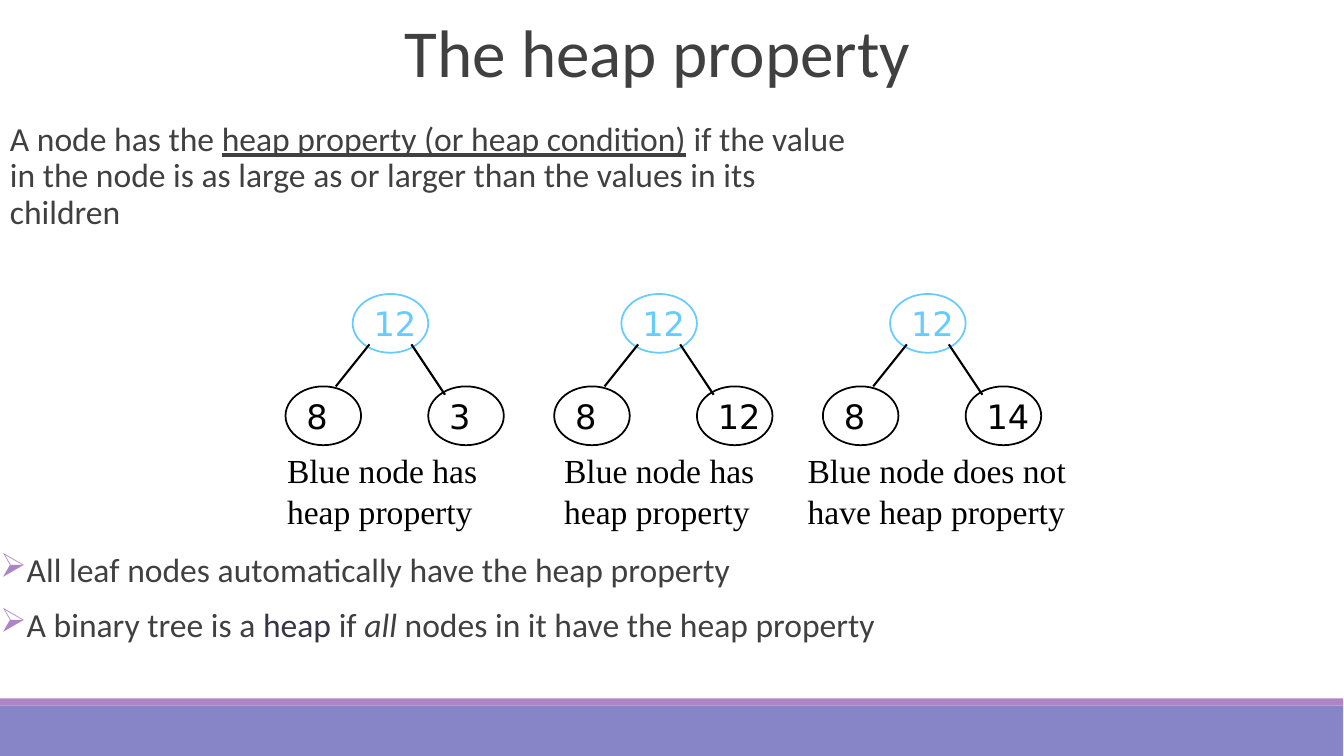
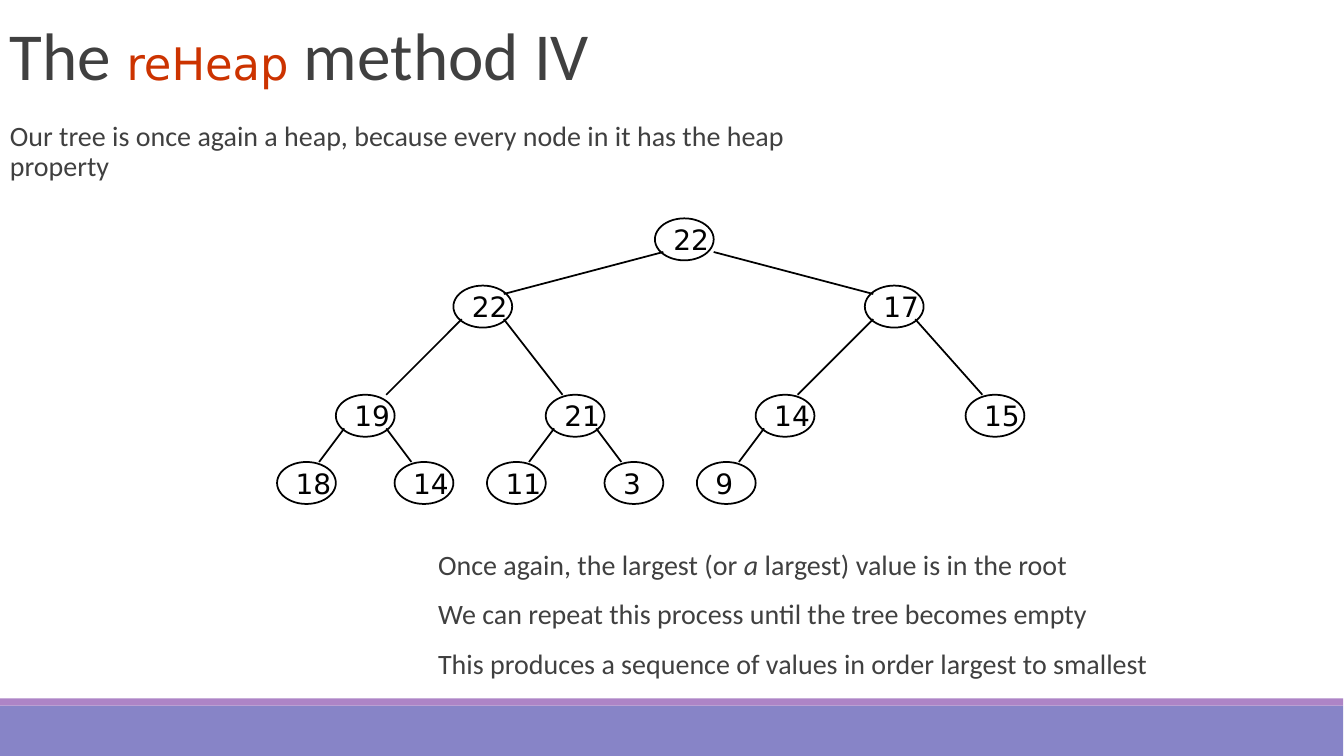
from dataclasses import dataclass

from lxml.etree import SubElement
from pptx import Presentation
from pptx.dml.color import RGBColor
from pptx.enum.shapes import MSO_CONNECTOR as Connector, MSO_SHAPE as Shape
from pptx.enum.text import MSO_ANCHOR as Anchor, PP_ALIGN as Align
from pptx.oxml.ns import qn
from pptx.util import Cm, Pt


@dataclass(frozen=True)
class Theme:
    """Colours, fonts and type sizes of the deck."""
    text: str = "404040"
    strong: str = "373545"
    code: str = "CC3300"
    ink: str = "000000"
    highlight: str = "66CCFF"
    band: str = "8784C7"
    accent: str = "AD84C6"
    body_font: str = "Calibri"
    node_font: str = "DejaVu Sans"
    caption_font: str = "Times New Roman"
    title_size: int = 48
    code_size: int = 32
    large_size: int = 24
    small_size: int = 20


THEME = Theme()


def steps(count):
    """Turn grid steps, twelve to the inch, into a length."""
    return Cm(count * 2.54 / 12)


def style(font, size=None, name=None, color=None, italic=None, underline=None):
    """Apply the given font settings and leave the others inherited."""
    if size:
        font.size = Pt(size)
    if name:
        font.name = name
    if color:
        font.color.rgb = RGBColor.from_string(color)
    if italic:
        font.italic = True
    if underline:
        font.underline = True


class Deck:
    """Draw styled elements on the current slide."""

    def __init__(self, theme):
        self.theme = theme
        self.presentation = Presentation()
        self.presentation.slide_width = Cm(33.88)
        self.presentation.slide_height = Cm(19.05)
        self.slide = None

    def new_slide(self):
        """Start a blank slide with the footer bands."""
        self.slide = self.presentation.slides.add_slide(self.presentation.slide_layouts[6])
        self.band(17.78, 1.27, self.theme.band)
        self.band(17.6, 0.18, self.theme.accent)

    def band(self, top, height, color):
        """Draw a full-width footer band."""
        shape = self.slide.shapes.add_shape(Shape.RECTANGLE, 0, Cm(top), Cm(33.86), Cm(height))
        shape.shadow.inherit = False
        shape.fill.solid()
        shape.fill.fore_color.rgb = RGBColor.from_string(color)
        shape.line.fill.background()

    def text_frame(self, box, anchor=Anchor.TOP):
        """Add a wrapping text box and return its frame."""
        frame = self.slide.shapes.add_textbox(*map(steps, box)).text_frame
        frame.word_wrap = True
        frame.vertical_anchor = anchor
        return frame

    def fill_paragraph(self, paragraph, runs, **settings):
        """Style a paragraph and add its runs with their overrides."""
        style(paragraph.font, **settings)
        for text, overrides in runs:
            run = paragraph.add_run()
            run.text = text
            style(run.font, **overrides)

    def title(self, left, top, *runs):
        """Add the slide title."""
        paragraph = self.text_frame((left, top, 113, 9.5), Anchor.BOTTOM).paragraphs[0]
        paragraph.line_spacing = 0.85
        self.fill_paragraph(paragraph, runs, size=self.theme.title_size,
                            name=self.theme.body_font, color=self.theme.text)

    def body(self, box, size, *paragraphs, bullet=None):
        """Add body paragraphs, bulleted on request."""
        frame = self.text_frame(box)
        frame.margin_left = frame.margin_right = 0
        for index, runs in enumerate(paragraphs):
            paragraph = frame.add_paragraph() if index else frame.paragraphs[0]
            properties = paragraph._p.get_or_add_pPr()
            properties.set("marL", str(Cm(0.25)))
            if bullet:
                properties.set("indent", str(-Cm(0.25)))
                color = SubElement(properties, qn("a:buClr"))
                SubElement(color, qn("a:srgbClr"), val=self.theme.accent)
                SubElement(properties, qn("a:buChar"), char=bullet)
            paragraph.line_spacing = 0.9
            paragraph.space_before = Pt(12 if index else 0)
            paragraph.space_after = Pt(2)
            self.fill_paragraph(paragraph, runs, size=size,
                                name=self.theme.body_font, color=self.theme.text)

    def caption(self, left, width, text):
        """Add a caption below a small tree."""
        paragraph = self.text_frame((left, 53, width, 10.8)).paragraphs[0]
        self.fill_paragraph(paragraph, [(text, {})], size=self.theme.large_size,
                            name=self.theme.caption_font, color=self.theme.ink)

    def node(self, shapes, value, box, size, color):
        """Draw an outlined tree node."""
        shape = shapes.add_shape(Shape.OVAL, *map(steps, box))
        shape.shadow.inherit = False
        shape.fill.background()
        shape.line.color.rgb = RGBColor.from_string(color)
        shape.line.width = Pt(1.25)
        frame = shape.text_frame
        frame.word_wrap = False
        frame.vertical_anchor = Anchor.MIDDLE
        paragraph = frame.paragraphs[0]
        paragraph.alignment = Align.LEFT
        self.fill_paragraph(paragraph, [(str(value), {})], size=size,
                            name=self.theme.node_font, color=color)

    def edge(self, shapes, start, end, width):
        """Draw a line between two grid points."""
        line = shapes.add_connector(Connector.STRAIGHT, *map(steps, start + end))
        line.line.color.rgb = RGBColor.from_string(self.theme.ink)
        line.line.width = Pt(width)
        SubElement(line._element.spPr, qn("a:effectLst"))

    def tree(self, nodes, edges, node_size, size, line_width, root_color):
        """Draw a grouped tree whose edges hold offsets within their nodes."""
        shapes = self.slide.shapes.add_group_shape().shapes
        for index, (value, left, top) in enumerate(nodes):
            self.node(shapes, value, (left, top, *node_size), size,
                      self.theme.ink if index else root_color)
        for parent, child, leave, land in edges:
            start, end = (
                (nodes[index][1] + offset[0], nodes[index][2] + offset[1])
                for index, offset in ((parent, leave), (child, land)))
            self.edge(shapes, start, end, line_width)


SMALL_EDGES = ((0, 1, (2, 6), (6, 0)), (0, 2, (7, 6), (2, 1)))
SMALL_TREES = (
    ((12, 8, 3), 33, 26, "Blue node has heap property"),
    ((12, 8, 12), 66, 26, "Blue node has heap property"),
    ((12, 8, 14), 95, 34, "Blue node does not have heap property"),
)

LEFT_EDGE = ((1, 4), (5, 0))
RIGHT_EDGE = ((6, 4), (2, 0))
HEAP_NODES = (
    (22, 78, 26),
    (22, 54, 34), (17, 103, 34),
    (19, 40, 47), (21, 65, 47), (14, 90, 47), (15, 115, 47),
    (18, 33, 55), (14, 47, 55), (11, 58, 55), (3, 72, 55), (9, 83, 55),
)
HEAP_EDGES = (
    (0, 1, (1, 4), (6, 1)), (0, 2, (7, 4), (1, 1)),
    (1, 3, (1, 4), (6, 0)), (1, 4, *RIGHT_EDGE),
    (2, 5, *LEFT_EDGE), (2, 6, *RIGHT_EDGE),
    (3, 7, *LEFT_EDGE), (3, 8, *RIGHT_EDGE),
    (4, 9, *LEFT_EDGE), (4, 10, *RIGHT_EDGE),
    (5, 11, *LEFT_EDGE),
)


def heap_property(deck):
    """Build the slide that defines the heap property."""
    theme = deck.theme
    deck.new_slide()
    deck.title(47, 2, ("The heap property", {}))
    deck.body((0, 14, 102, 19), theme.large_size, [
        ("A node has the ", {}),
        ("heap property (or heap condition)", {"underline": True}),
        (" if the value in the node is as large as or larger than the values in its children", {}),
    ])
    for index, (values, left, width, caption) in enumerate(SMALL_TREES):
        shift = 32 * index
        places = ((42 + shift, 35), (34 + shift, 46), (51 + shift, 46))
        nodes = [(value, *place) for value, place in zip(values, places)]
        deck.tree(nodes, SMALL_EDGES, (9, 7), theme.large_size, 1.5, theme.highlight)
        deck.caption(left, width, caption)
    deck.body((0, 65.25, 105, 18), theme.large_size,
              [("All leaf nodes automatically have the heap property", {})],
              [("A binary tree is a ", {}), ("heap", {"color": theme.strong}), (" if ", {}),
               ("all", {"italic": True}), (" nodes in it have the heap property", {})],
              bullet="➢")


def reheap_method(deck):
    """Build the slide that shows the restored heap."""
    theme = deck.theme
    deck.new_slide()
    code = {"size": theme.code_size, "name": theme.node_font, "color": theme.code}
    deck.title(0, 2.25, ("The ", {}), ("reHeap", code), (" method IV", {}))
    deck.body((0, 14, 102, 13), theme.small_size, [
        ("Our tree is once again a heap, because every node in it has the heap property", {})])
    deck.body((51, 65, 109, 19), theme.small_size,
              [("Once again, the largest (or", {}), (" a", {"italic": True}),
               (" largest) value is in the root", {})],
              [("We can repeat this process until the tree becomes empty", {})],
              [("This produces a sequence of values in order largest to smallest", {})])
    deck.tree(HEAP_NODES, HEAP_EDGES, (7, 5), theme.small_size, 1.25, theme.ink)


def main():
    """Build and save the presentation."""
    deck = Deck(THEME)
    heap_property(deck)
    reheap_method(deck)
    deck.presentation.save("out.pptx")


if __name__ == "__main__":
    main()
